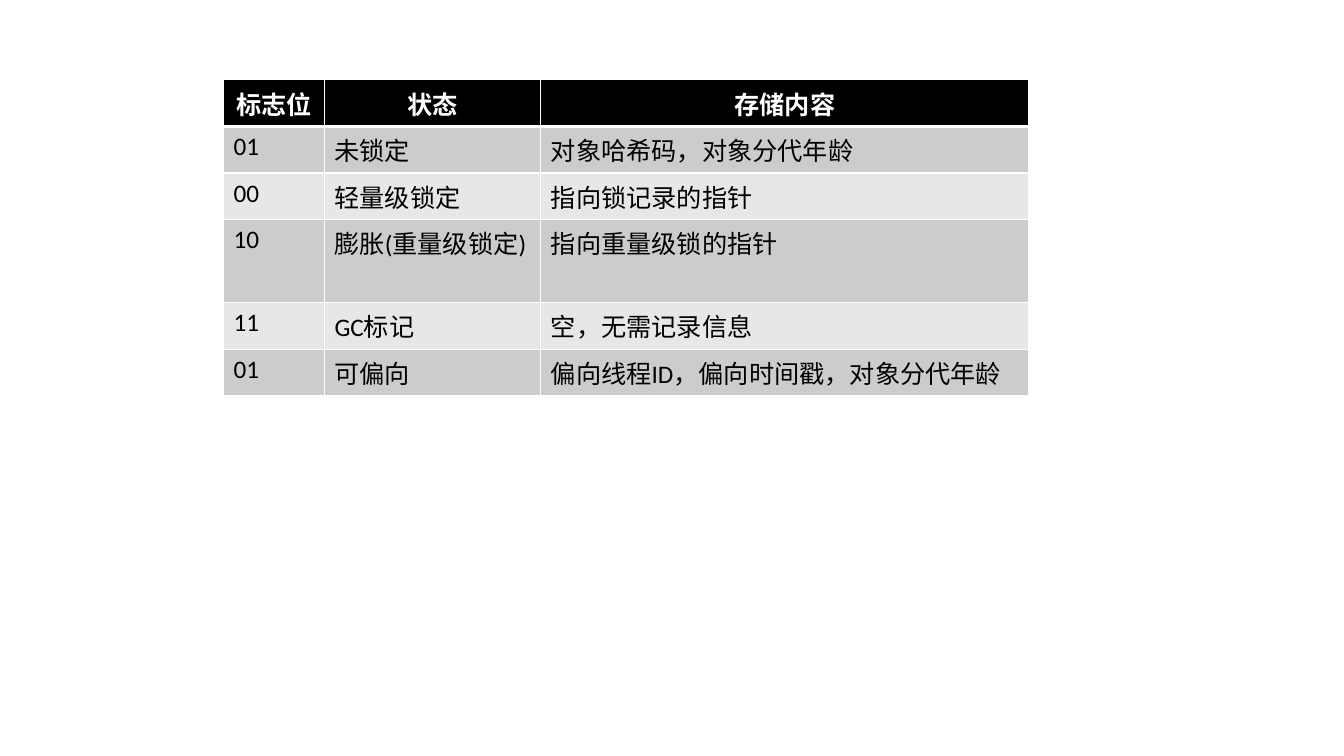
from lxml.etree import SubElement
from pptx import Presentation
from pptx.dml.color import RGBColor
from pptx.enum.text import PP_ALIGN
from pptx.oxml.ns import qn
from pptx.util import Emu, Pt

PX = 9525
LEFT, TOP, ROW_HEIGHT = 213, 76, 39
COLUMN_WIDTHS = [96, 206, 465]
HEADER_FILL, BAND_FILLS = "000000", ["CCCCCC", "E7E7E7"]
LOCK_STATES = [
    ["标志位", "状态", "存储内容"],
    ["01", "未锁定", "对象哈希码，对象分代年龄"],
    ["00", "轻量级锁定", "指向锁记录的指针"],
    ["10", "膨胀(重量级锁定)", "指向重量级锁的指针"],
    ["11", "GC标记", "空，无需记录信息"],
    ["01", "可偏向", "偏向线程ID，偏向时间戳，对象分代年龄"],
]


def px(n):
    return Emu(n * PX)


def color(value):
    return RGBColor.from_string(value)


def set_border(cell, side, width):
    tc_pr = cell._tc.get_or_add_tcPr()
    ln = SubElement(tc_pr, qn(f"a:ln{side}"), w=str(Pt(width)))
    fill = SubElement(ln, qn("a:solidFill"))
    SubElement(fill, qn("a:srgbClr"), val="FFFFFF")


def format_cell(cell, text, row):
    header = row == 0
    widths = {"L": 1, "R": 1, "T": 3 if row == 1 else 1, "B": 3 if header else 1}
    for side, width in widths.items():
        set_border(cell, side, width)
    cell.fill.solid()
    cell.fill.fore_color.rgb = color(HEADER_FILL if header else BAND_FILLS[(row - 1) % 2])
    cell.text_frame.text = text
    p = cell.text_frame.paragraphs[0]
    p.alignment = PP_ALIGN.CENTER if header else PP_ALIGN.LEFT
    font = p.runs[0].font
    font.name = "Calibri"
    font.size = Pt(18)
    font.bold = header
    font.color.rgb = color("FFFFFF" if header else "000000")


def add_state_table(s, rows):
    table = s.shapes.add_table(
        len(rows), len(COLUMN_WIDTHS), px(LEFT), px(TOP),
        px(sum(COLUMN_WIDTHS)), px(ROW_HEIGHT * len(rows))).table
    for column, width in zip(table.columns, COLUMN_WIDTHS):
        column.width = px(width)
    for i, texts in enumerate(rows):
        table.rows[i].height = px(ROW_HEIGHT)
        for j, text in enumerate(texts):
            format_cell(table.cell(i, j), text, i)


def main():
    prs = Presentation()
    prs.slide_width, prs.slide_height = px(1280), px(720)
    s = prs.slides.add_slide(prs.slide_layouts[6])
    add_state_table(s, LOCK_STATES)
    prs.save("out.pptx")


if __name__ == "__main__":
    main()
